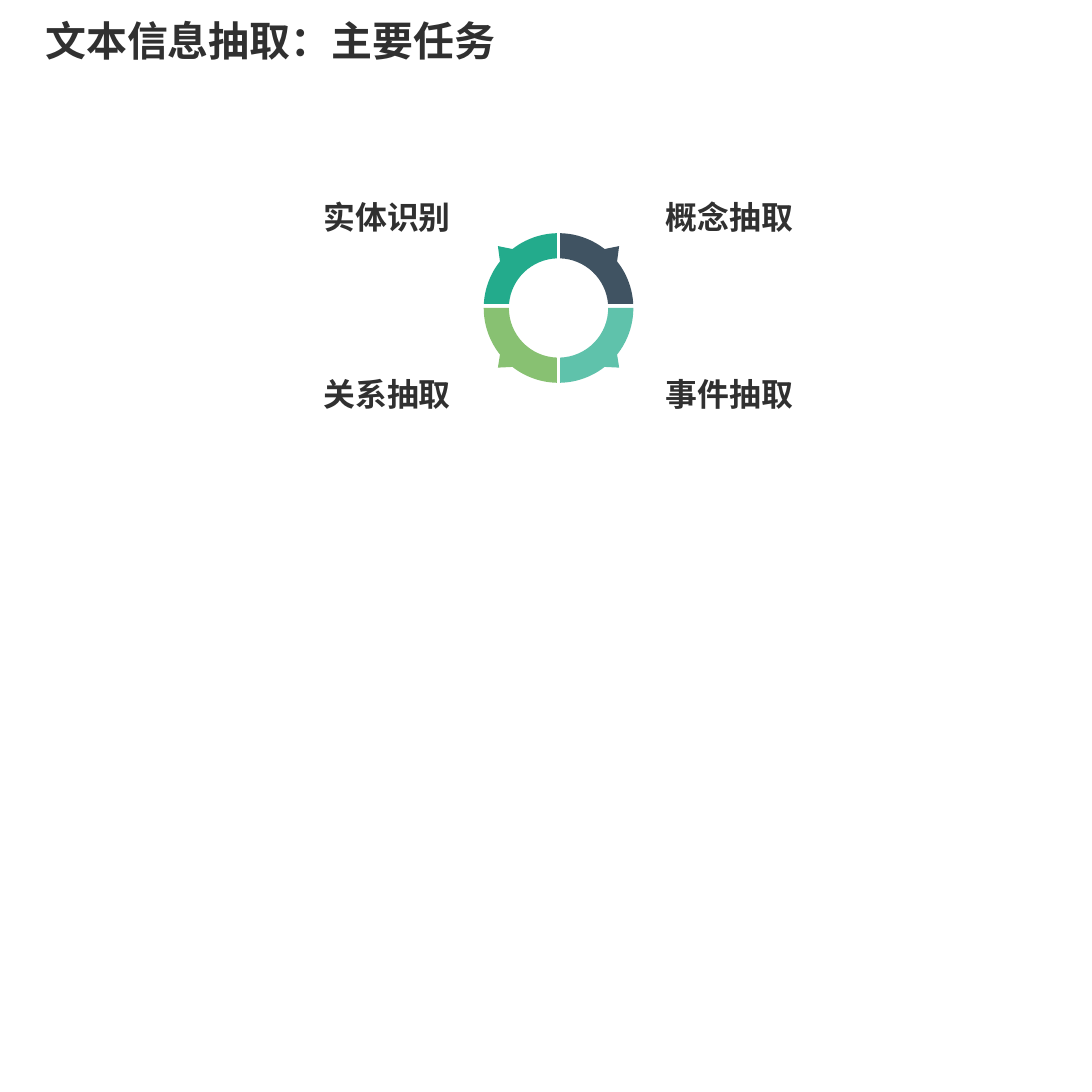
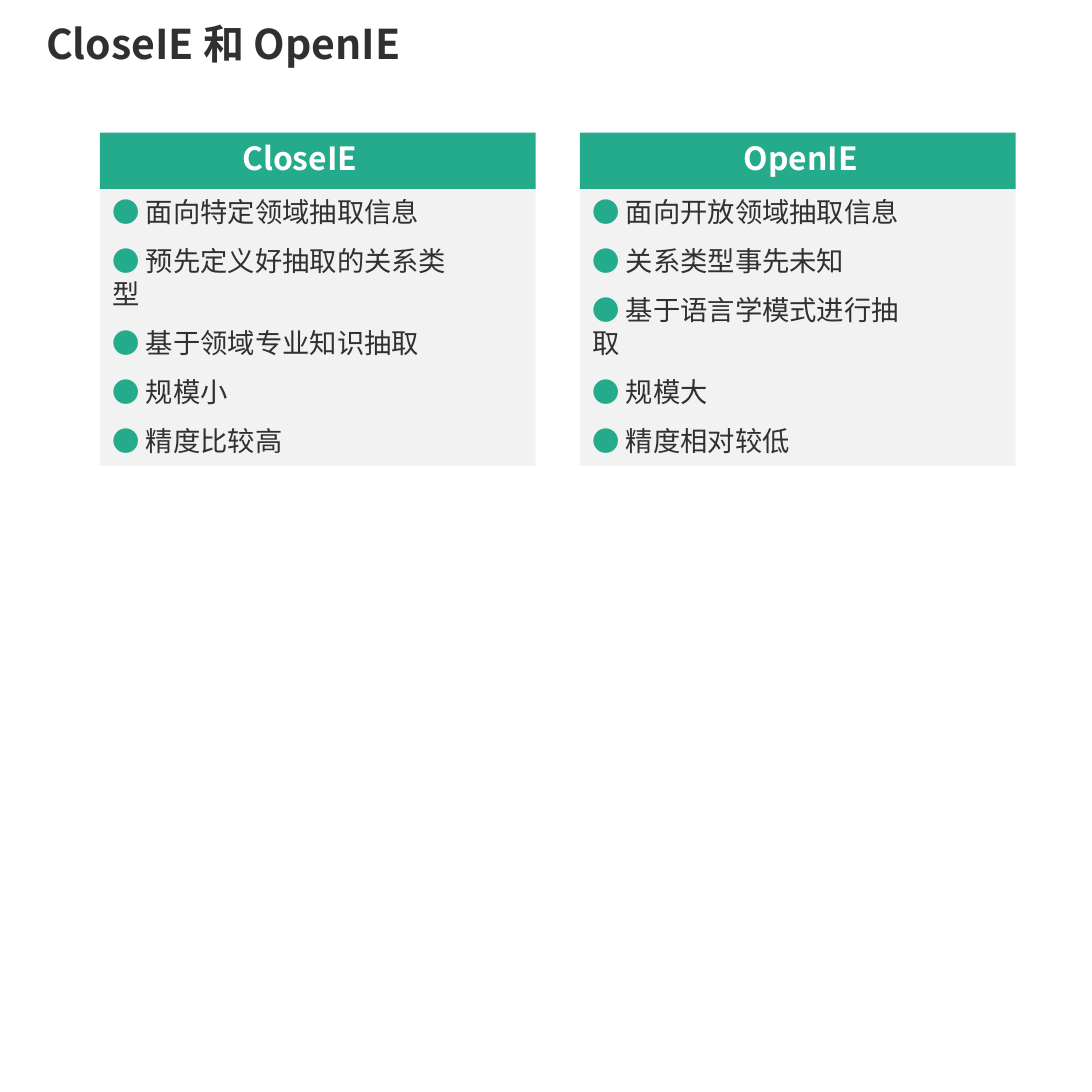
from math import acos, asin, cos, degrees, radians, sin

from lxml.etree import SubElement
from pptx import Presentation
from pptx.dml.color import RGBColor
from pptx.enum.shapes import MSO_SHAPE as SHAPE
from pptx.enum.text import MSO_ANCHOR as ANCHOR, PP_ALIGN as ALIGN
from pptx.oxml.ns import qn
from pptx.util import Cm, Pt

INK = RGBColor(0x30, 0x30, 0x30)
WHITE = RGBColor(0xFF, 0xFF, 0xFF)
PANEL = RGBColor(0xF2, 0xF2, 0xF2)
GREEN = RGBColor(0x23, 0xAB, 0x8C)
LIME = RGBColor(0x88, 0xC1, 0x72)
NAVY = RGBColor(0x40, 0x53, 0x62)
MINT = RGBColor(0x5F, 0xC2, 0xAB)

HAN = "Noto Sans CJK SC"
LATO = "Lato"
SIDE = 33.86
LEADING = 1.2

TITLE = {"size": Pt(36), "bold": True, "name": HAN}
LABEL = {"size": Pt(28), "bold": True, "name": HAN}
BULLET = {"size": Pt(24), "bold": False, "name": LATO}
ITEM = {"size": Pt(24), "bold": False, "name": HAN}

CENTER_X, CENTER_Y = 17.32, 9.55
OUTER, INNER = 2.32, 1.54
HALF_GAP = 0.05
SPIKE_FROM, SPIKE_TO = 38.5, 52
SPIKE_X = 1.88

LABEL_COLUMNS = (10.03, 20.64)
LABEL_ROWS = (6.12, 11.62)
QUADRANTS = [
    ("实体识别", GREEN, 0, 0),
    ("概念抽取", NAVY, 1, 0),
    ("关系抽取", LIME, 0, 1),
    ("事件抽取", MINT, 1, 1),
]
RING_EDGES = (0.13, 0)
SPIKE_HEIGHTS = (1.92, 1.85)

PANEL_LEFT, PANEL_STEP, PANEL_W = 3.1, 14.88, 13.51
BAND_TOP, BAND_H, BODY_H = 4.11, 1.76, 8.58
PANELS = [
    ("CloseIE", 4.41, 2.2,
     ["面向特定领域抽取信息", "预先定义好抽取的关系类型",
      "基于领域专业知识抽取", "规模小", "精度比较高"]),
    ("OpenIE", 5.08, 3,
     ["面向开放领域抽取信息", "关系类型事先未知",
      "基于语言学模式进行抽取", "规模大", "精度相对较低"]),
]


def add_run(p, text, style, color):
    r = p.add_run()
    r.text = text
    r.font.color.rgb = color
    for key, value in style.items():
        setattr(r.font, key, value)
    SubElement(r.font._element, qn("a:ea")).set("typeface", HAN)
    p.alignment = ALIGN.LEFT
    p.line_spacing = Pt(style["size"].pt * LEADING)


def set_frame(tf, left=0, top=0, right=0):
    margins = {"margin_left": Cm(left), "margin_top": Cm(top),
               "margin_right": Cm(right), "margin_bottom": 0}
    for key, value in margins.items():
        setattr(tf, key, value)
    tf.word_wrap = True
    tf.vertical_anchor = ANCHOR.TOP
    return tf


def add_text(s, x, y, w, h, style, text):
    sp = s.shapes.add_textbox(Cm(x), Cm(y), Cm(w), Cm(h))
    add_run(set_frame(sp.text_frame).paragraphs[0], text, style, INK)


def add_title(s, x, y, text):
    add_text(s, x, y, 31, 1.55, TITLE, text)


def paint(sp, color):
    sp.shadow.inherit = False
    sp.fill.solid()
    sp.fill.fore_color.rgb = color
    sp.line.fill.background()


def add_block(s, x, y, h, color):
    sp = s.shapes.add_shape(SHAPE.RECTANGLE, Cm(x), Cm(y), Cm(PANEL_W), Cm(h))
    paint(sp, color)
    return sp.text_frame


def arc(radius, start, end, steps=16):
    angles = [radians(start + (end - start) * i / steps) for i in range(steps + 1)]
    return [(radius * cos(a), radius * sin(a)) for a in angles]


def add_quadrant(s, color, col, row):
    def low(radius):
        return degrees(asin(RING_EDGES[row] / radius))

    def high(radius):
        return degrees(acos(HALF_GAP / radius))

    outline = (arc(OUTER, low(OUTER), SPIKE_FROM)
               + [(SPIKE_X, SPIKE_HEIGHTS[row])]
               + arc(OUTER, SPIKE_TO, high(OUTER))
               + arc(INNER, high(INNER), low(INNER)))
    sign_x, sign_y = 2 * col - 1, 2 * row - 1
    points = [(Cm(CENTER_X + sign_x * x), Cm(CENTER_Y + sign_y * y))
              for x, y in outline]
    builder = s.shapes.build_freeform(*points[0])
    builder.add_line_segments(points[1:], close=True)
    paint(builder.convert_to_shape(), color)


def add_panel(s, x, heading, indent, right, items):
    tf = set_frame(add_block(s, x, BAND_TOP, BAND_H, GREEN), indent, 0.2)
    add_run(tf.paragraphs[0], heading, LABEL, WHITE)
    body = add_block(s, x, BAND_TOP + BAND_H, BODY_H, PANEL)
    tf = set_frame(body, 0.39, 0.18, right)
    for i, item in enumerate(items):
        p = tf.add_paragraph() if i else tf.paragraphs[0]
        if i:
            p.space_before = Pt(14.4)
        add_run(p, "● ", BULLET, GREEN)
        add_run(p, item, ITEM, INK)


def build_tasks(s):
    add_title(s, 1.4, 0.48, "文本信息抽取：主要任务")
    for label, color, col, row in QUADRANTS:
        add_quadrant(s, color, col, row)
        add_text(s, LABEL_COLUMNS[col], LABEL_ROWS[row], 4.02, 1.22, LABEL, label)


def build_comparison(s):
    add_title(s, 1.43, 0.58, "CloseIE 和 OpenIE")
    for i, panel in enumerate(PANELS):
        add_panel(s, PANEL_LEFT + i * PANEL_STEP, *panel)


def main():
    prs = Presentation()
    prs.slide_width = prs.slide_height = Cm(SIDE)
    for build in (build_tasks, build_comparison):
        build(prs.slides.add_slide(prs.slide_layouts[6]))
    prs.save("out.pptx")


if __name__ == "__main__":
    main()
